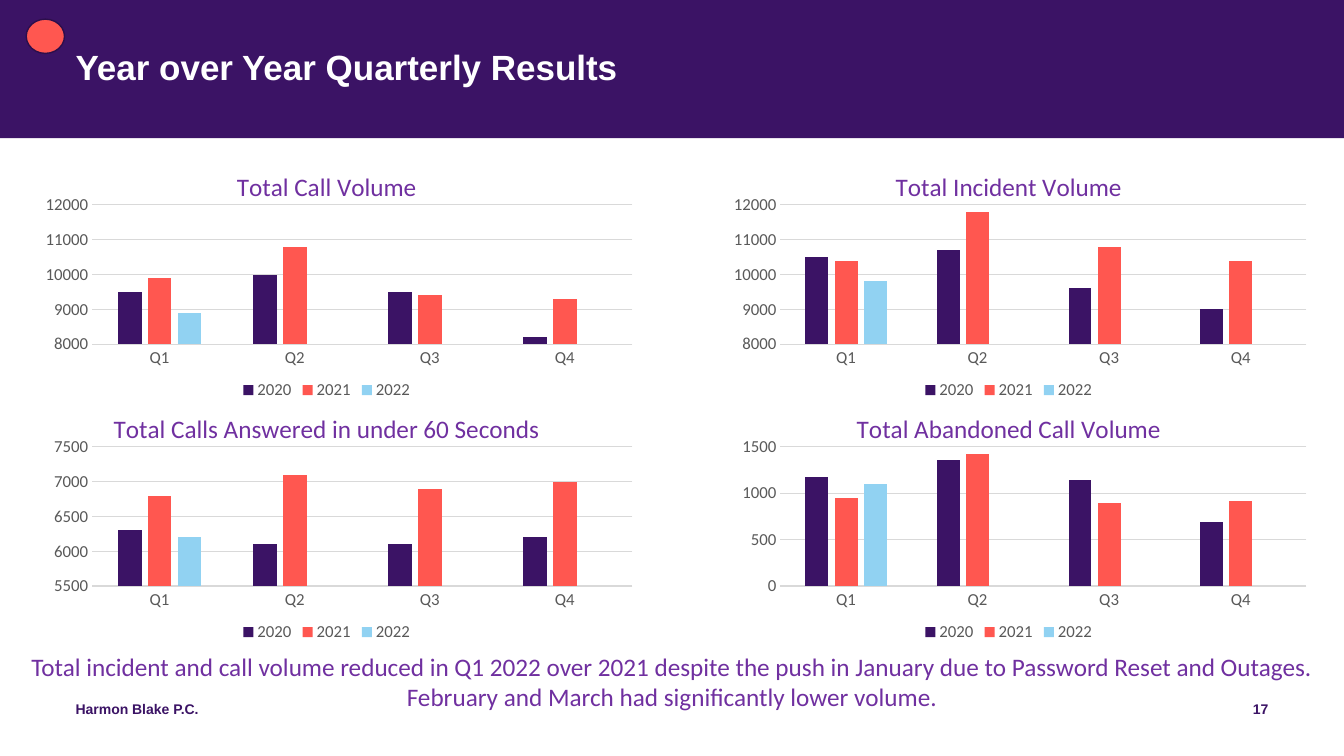
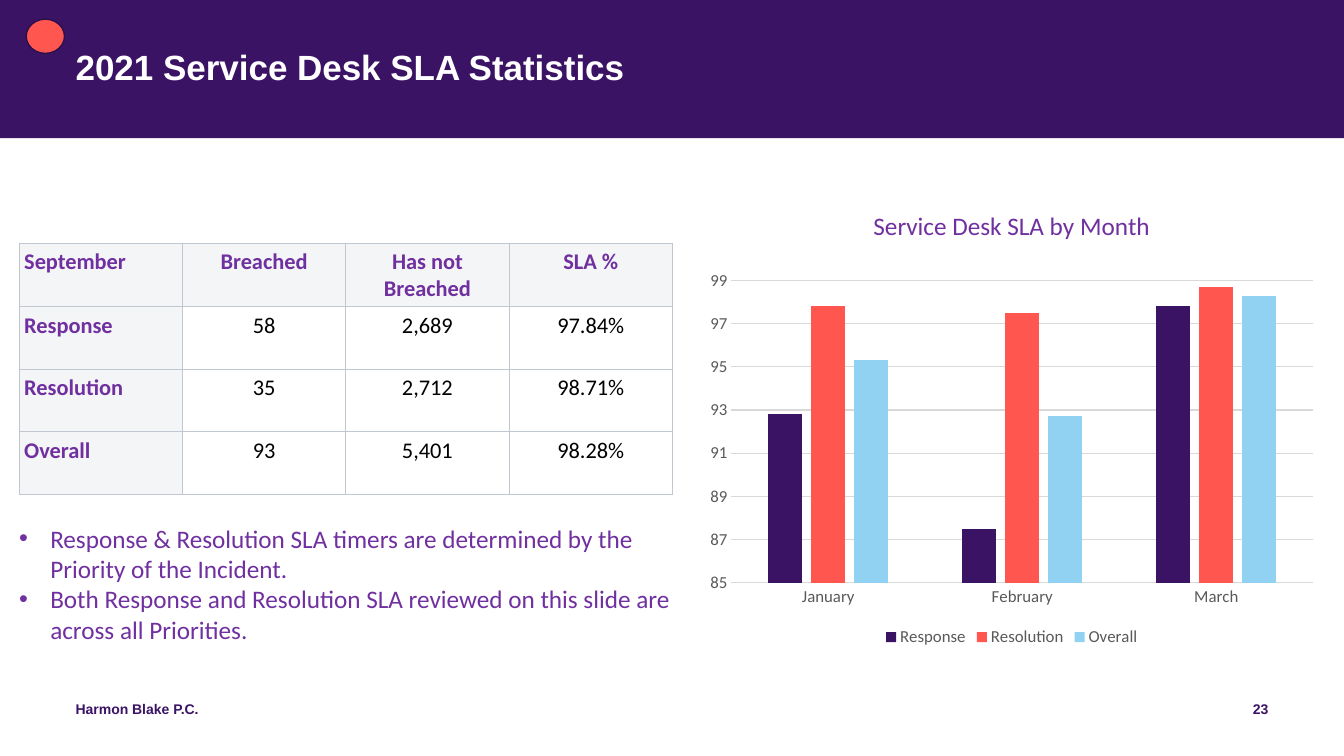
from lxml import etree
from pptx import Presentation
from pptx.chart.data import CategoryChartData
from pptx.dml.color import RGBColor
from pptx.enum.chart import XL_CHART_TYPE, XL_LEGEND_POSITION, XL_TICK_MARK
from pptx.enum.shapes import MSO_SHAPE
from pptx.enum.text import MSO_ANCHOR, MSO_AUTO_SIZE, PP_ALIGN
from pptx.oxml import parse_xml
from pptx.oxml.ns import nsdecls, qn
from pptx.util import Inches, Pt

COLUMN = XL_CHART_TYPE.COLUMN_CLUSTERED
BOTTOM = XL_LEGEND_POSITION.BOTTOM
NO_TICK = XL_TICK_MARK.NONE
RECT, OVAL = MSO_SHAPE.RECTANGLE, MSO_SHAPE.OVAL
LEFT, CENTER, RIGHT = PP_ALIGN.LEFT, PP_ALIGN.CENTER, PP_ALIGN.RIGHT
TOP = MSO_ANCHOR.TOP
FIXED = MSO_AUTO_SIZE.NONE

# Theme
WIDE, HIGH = 13.33, 7.5
DARK, CORAL, SKY = "3B1365", "FF5750", "91D2F2"
PURPLE, WHITE, BLACK = "7030A0", "FFFFFF", "000000"
GRAY, GRID, PALE, EDGE, RIM = "595959", "D9D9D9", "F4F5F7", "C1C7D0", "2C0E4B"
HEAD, BODY = "Arial", "Calibri"
MARGIN = 0.75
INNER = {"x": 0.141, "y": 0.203, "w": 0.827, "h": 0.557}

# Content
FIRM = "Harmon Blake P.C."
QUARTERS = ["Q1", "Q2", "Q3", "Q4"]
YEARS = ["2020", "2021", "2022"]
# title, (low, high, step), one list of values per year; in reading order
VOLUMES = [
    ("Total Call Volume", (8000, 12000, 1000),
     [[9500, 10000, 9500, 8200], [9900, 10800, 9400, 9300], [8900]]),
    ("Total Incident Volume", (8000, 12000, 1000),
     [[10500, 10700, 9600, 9000], [10400, 11800, 10800, 10400], [9800]]),
    ("Total Calls Answered in under 60 Seconds", (5500, 7500, 500),
     [[6300, 6100, 6100, 6200], [6800, 7100, 6900, 7000], [6200]]),
    ("Total Abandoned Call Volume", (0, 1500, 500),
     [[1170, 1360, 1140, 690], [950, 1420, 890, 920], [1100]]),
]
SUMMARY = ("Total incident and call volume reduced in Q1 2022 over 2021 despite "
           "the push in January due to Password Reset and Outages. February and "
           "March had significantly lower volume.")
MONTHS = ["January", "February", "March"]
LEVELS = ["Response", "Resolution", "Overall"]
RATES = [[92.8, 87.5, 97.8], [97.8, 97.5, 98.7], [95.3, 92.7, 98.3]]
TABLE = [
    ["September", "Breached", "Has not Breached", "SLA %"],
    ["Response", "58", "2,689", "97.84%"],
    ["Resolution", "35", "2,712", "98.71%"],
    ["Overall", "93", "5,401", "98.28%"],
]
POINTS = [
    "Response & Resolution SLA timers are determined by the Priority of the Incident.",
    "Both Response and Resolution SLA reviewed on this slide are across all Priorities.",
]


def rgb(code):
    return RGBColor.from_string(code)


def style(font, size, color, name=BODY, bold=False):
    font.size, font.name, font.bold = Pt(size), name, bold
    font.color.rgb = rgb(color)


def inches(box):
    return [Inches(n) for n in box]


def write(frame, lines, size, color, name=BODY, bold=False, align=LEFT,
          inset=None, bullet=False):
    frame.word_wrap = True
    frame.vertical_anchor = TOP
    if inset is not None:
        frame.margin_left = frame.margin_right = Inches(inset)
        frame.margin_top = frame.margin_bottom = Inches(inset)
    for i, line in enumerate(lines):
        para = frame.add_paragraph() if i else frame.paragraphs[0]
        para.alignment = align
        if bullet:
            props = para._p.get_or_add_pPr()
            props.set("marL", str(Inches(0.31)))
            props.set("indent", str(-Inches(0.31)))
            etree.SubElement(props, qn("a:buFont")).set("typeface", HEAD)
            etree.SubElement(props, qn("a:buChar")).set("char", "•")
        run = para.add_run()
        run.text = line
        style(run.font, size, color, name, bold)


def text(slide, box, lines, *args, **opts):
    write(slide.shapes.add_textbox(*inches(box)).text_frame, lines, *args, **opts)


def shape(slide, kind, box, fill, line=None):
    item = slide.shapes.add_shape(kind, *inches(box))
    item.shadow.inherit = False
    item.fill.solid()
    item.fill.fore_color.rgb = rgb(fill)
    if line:
        item.line.color.rgb = rgb(line)
        item.line.width = Pt(1)
    else:
        item.line.fill.background()
    return item


# Title, band, dot and footer of every slide
def start(deck, heading, number):
    slide = deck.slides.add_slide(deck.slide_layouts[5])
    band = shape(slide, RECT, (0, 0, WIDE, 1.37), DARK)
    slide.shapes._spTree.insert(2, band._element)
    span = WIDE - 2 * MARGIN
    title = slide.shapes.title
    title.left, title.top, title.width, title.height = inches((MARGIN, 0.5, span, 0.81))
    write(title.text_frame, [heading], 25, WHITE, HEAD, True, inset=0)
    title.text_frame.auto_size = FIXED
    title.text_frame.paragraphs[0].line_spacing = 0.9
    shape(slide, OVAL, (0.26, 0.19, 0.38, 0.34), CORAL, RIM)
    foot = {"name": HEAD, "bold": True, "inset": 0}
    text(slide, (MARGIN, 6.95, 4.5, 0.4), [FIRM], 10, DARK, **foot)
    text(slide, (WIDE - MARGIN - 3, 6.95, 3, 0.4), [str(number)], 10, DARK,
         align=RIGHT, **foot)
    return slide


def place(chart, parts):
    area = chart._chartSpace.chart.plotArea
    for old in area.findall(qn("c:layout")):
        area.remove(old)
    sizes = "".join(f'<c:{k} val="{v}"/>' for k, v in parts.items())
    area.insert(0, parse_xml(
        f'<c:layout {nsdecls("c")}><c:manualLayout><c:layoutTarget val="inner"/>'
        f'<c:xMode val="edge"/><c:yMode val="edge"/>{sizes}'
        '</c:manualLayout></c:layout>'))


def columns(slide, box, title, scale, cats, names, rows, inner=None):
    data = CategoryChartData()
    data.categories = cats
    for name, row in zip(names, rows):
        data.add_series(name, row + [None] * (len(cats) - len(row)))
    chart = slide.shapes.add_chart(COLUMN, *inches(box), data).chart
    style(chart.font, 10, BLACK)
    chart.has_title = True
    run = chart.chart_title.text_frame.paragraphs[0].add_run()
    run.text = title
    style(run.font, 18, PURPLE)
    chart.chart_title.include_in_layout = False
    chart.has_legend = True
    chart.legend.position = BOTTOM
    chart.legend.include_in_layout = False
    style(chart.legend.font, 12, GRAY)
    # Bars
    plot = chart.plots[0]
    plot.gap_width, plot.overlap, plot.vary_by_categories = 219, -27, False
    for series, color in zip(plot.series, (DARK, CORAL, SKY)):
        series.format.fill.solid()
        series.format.fill.fore_color.rgb = rgb(color)
        series.invert_if_negative = False
    # Axes
    cat, val = chart.category_axis, chart.value_axis
    for axis in (cat, val):
        axis.major_tick_mark = axis.minor_tick_mark = NO_TICK
        style(axis.tick_labels.font, 12, GRAY)
    val.minimum_scale, val.maximum_scale, val.major_unit = scale
    val.format.line.fill.background()
    for line in (cat.format.line, val.major_gridlines.format.line):
        line.color.rgb = rgb(GRID)
        line.width = Pt(0.75)
    if inner:
        place(chart, inner)


def border(cell):
    props = cell._tc.get_or_add_tcPr()
    for side in "LRTB":
        props.append(parse_xml(
            f'<a:ln{side} {nsdecls("a")} w="{Pt(0.5)}"><a:solidFill>'
            f'<a:srgbClr val="{EDGE}"/></a:solidFill></a:ln{side}>'))


def grid(slide, box, rows):
    table = slide.shapes.add_table(len(rows), len(rows[0]), *inches(box)).table
    table.first_row = table.horz_banding = False
    for r, row in enumerate(rows):
        for c, word in enumerate(row):
            cell = table.cell(r, c)
            label = r == 0 or c == 0
            border(cell)
            if label:
                cell.fill.solid()
                cell.fill.fore_color.rgb = rgb(PALE)
            else:
                cell.fill.background()
            cell.margin_left = cell.margin_right = Inches(0.05)
            cell.margin_top = cell.margin_bottom = Inches(0.05)
            write(cell.text_frame, [word], 16, PURPLE if label else BLACK,
                  bold=label, align=CENTER if c else LEFT)
            cell.vertical_anchor = TOP


def main():
    deck = Presentation()
    deck.slide_width, deck.slide_height = inches((WIDE, HIGH))

    # Quarterly results: two by two charts
    slide = start(deck, "Year over Year Quarterly Results", 17)
    cols = [(0, 6.48), (6.85, 6.31)]
    for i, (title, scale, rows) in enumerate(VOLUMES):
        left, width = cols[i % 2]
        box = (left, 1.53 + 2.4 * (i // 2), width, 2.48)
        columns(slide, box, title, scale, QUARTERS, YEARS, rows, INNER)
    text(slide, (0, 6.41, WIDE, 1.01), [SUMMARY], 18, PURPLE, align=CENTER)

    # Service levels: table, points and chart
    slide = start(deck, "2021 Service Desk SLA Statistics", 23)
    grid(slide, (0.19, 2.41, 6.48, 2.48), TABLE)
    text(slide, (0.09, 5.14, 6.68, 1.31), POINTS, 18, PURPLE, bullet=True)
    columns(slide, (6.92, 1.88, 6.23, 4.58), "Service Desk SLA by Month",
            (85, 100, 2), MONTHS, LEVELS, RATES)

    deck.save("out.pptx")


if __name__ == "__main__":
    main()
